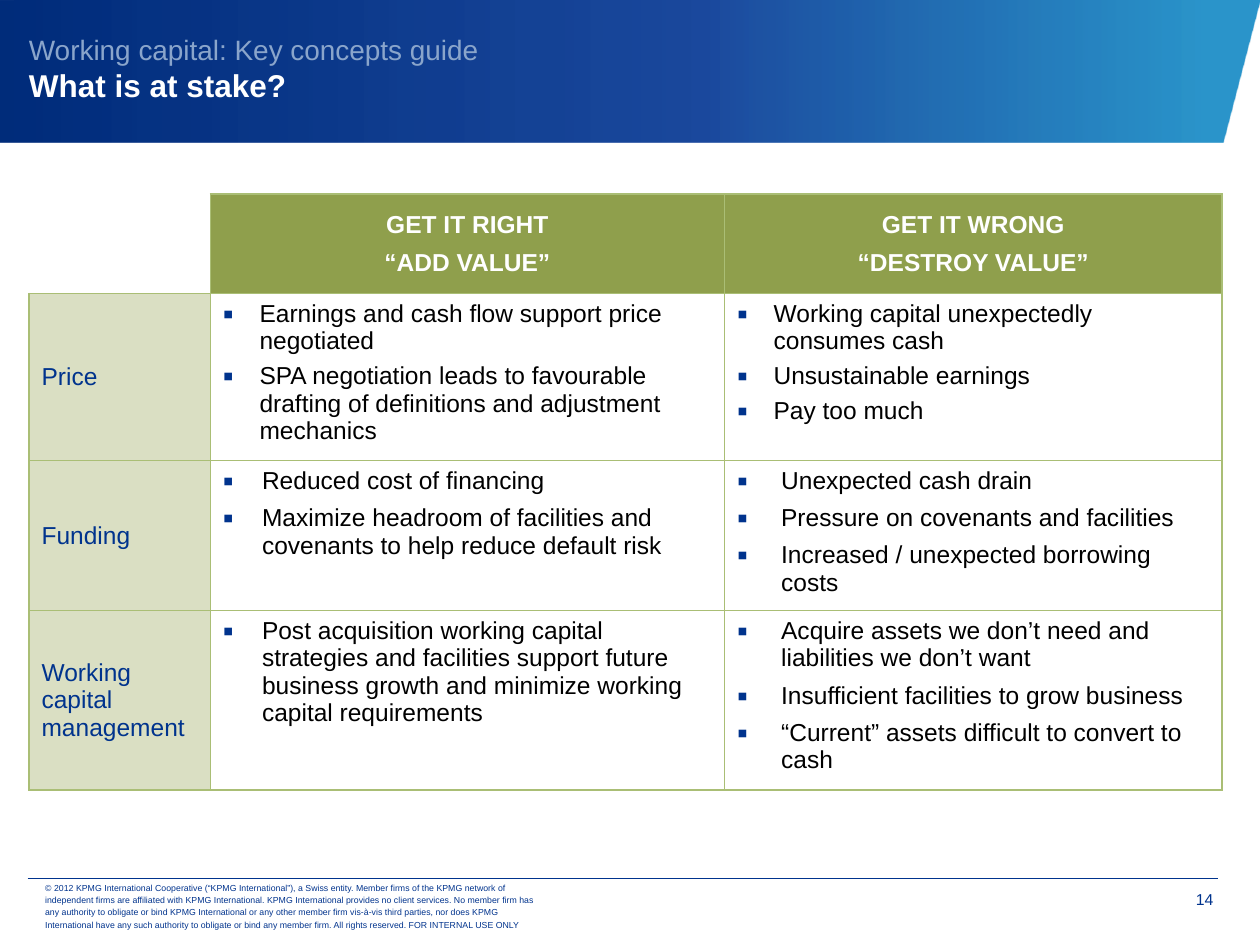
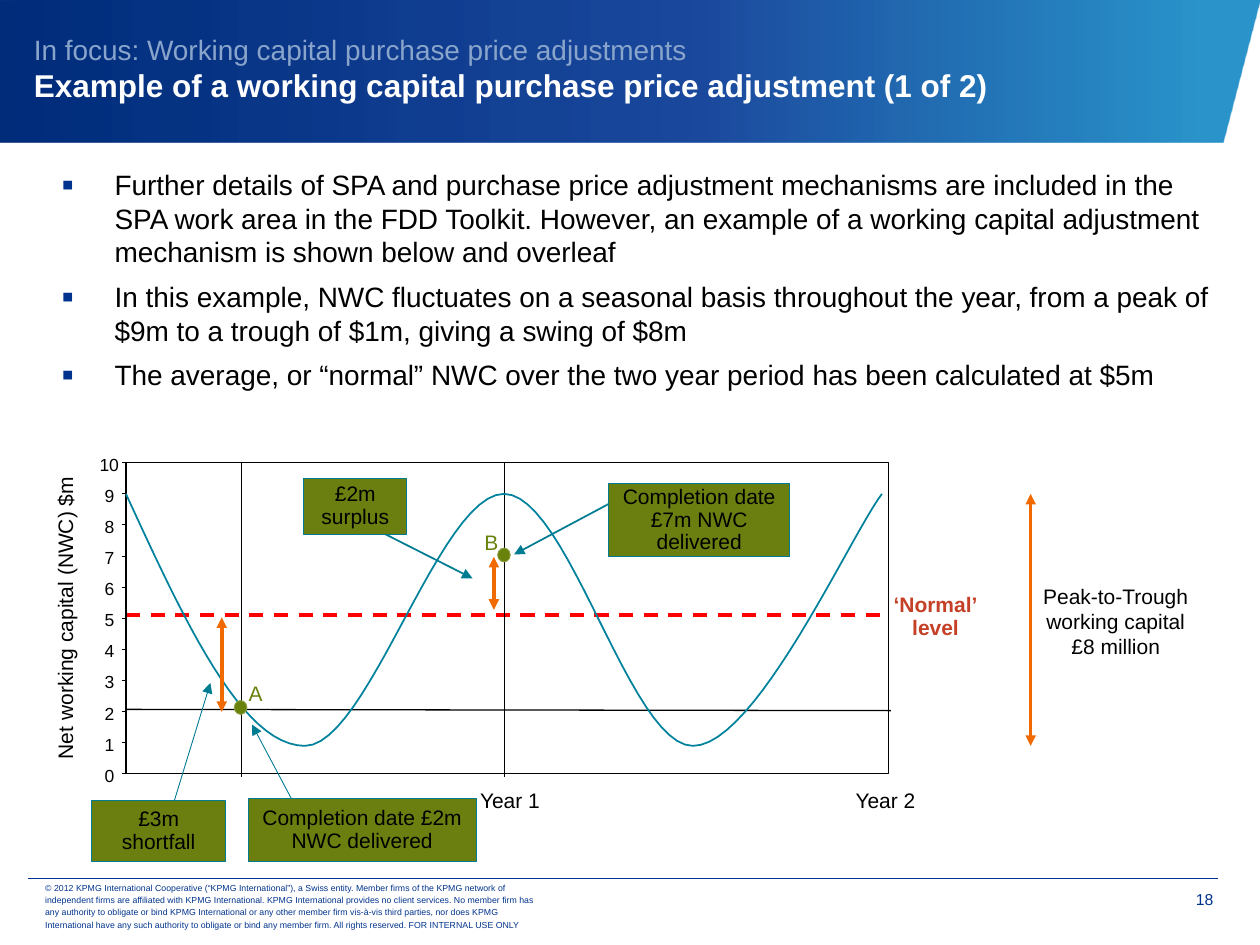
from lxml.etree import SubElement
from pptx import Presentation
from pptx.dml.color import RGBColor
from pptx.enum.dml import MSO_LINE
from pptx.enum.shapes import MSO_CONNECTOR, MSO_SHAPE
from pptx.enum.text import MSO_ANCHOR, PP_ALIGN
from pptx.oxml.ns import qn
from pptx.util import Inches, Pt

FONT = "Arial"
COLORS = {
    "navy": "00338D", "kicker": "8AA5CB", "white": "FFFFFF", "black": "000000",
    "header": "8F9F4C", "label": "DADFC3", "border": "AABE75",
    "teal": "007C92", "curve": "00829C", "orange": "F06A00", "red": "FF0000",
    "normal": "C44026", "callout": "6A7F10", "dot": "68820B", "dot_edge": "8CA042",
}
BAND_OUTLINE = [(-0.01, 1.13), (9.7, 1.13), (10, -0.01), (-0.01, 0)]
BAND_STOPS = [(4, "0080C0", 83), (44, "003492", 89), (100, "002C7A", 100)]
COPYRIGHT = (
    "© 2012 KPMG International Cooperative (“KPMG International”), a Swiss entity. "
    "Member firms of the KPMG network of independent firms are affiliated with KPMG "
    "International. KPMG International provides no client services. No member firm has any "
    "authority to obligate or bind KPMG International or any other member firm vis-à-vis "
    "third parties, nor does KPMG International have any such authority to obligate or bind "
    "any member firm. All rights reserved. FOR INTERNAL USE ONLY"
)

# Stakes table; rows grow to fit their text
TABLE_PLACE = (0.23, 1.54)
COLUMN_WIDTHS = [1.44, 4.08, 3.95]
ROW_HEIGHTS = [0.79, 0.52, 0.54, 1.41]
STAKES_HEADER = [["GET IT RIGHT", "“ADD VALUE”"], ["GET IT WRONG", "“DESTROY VALUE”"]]
# label, space before, (indent, bullets) for each column
STAKES = [
    ("Price", 4.2,
     (0.29, ["Earnings and cash flow support price negotiated",
             "SPA negotiation leads to favourable drafting of definitions and "
             "adjustment mechanics"]),
     (0.29, ["Working capital unexpectedly consumes cash", "Unsustainable earnings",
             "Pay too much"])),
    ("Funding", 5.6,
     (0.31, ["Reduced cost of financing",
             "Maximize headroom of facilities and covenants to help reduce default risk"]),
     (0.35, ["Unexpected cash drain", "Pressure on covenants and facilities",
             "Increased / unexpected borrowing costs"])),
    ("Working capital management", 5.6,
     (0.31, ["Post acquisition working capital strategies and facilities support future "
             "business growth and minimize working capital requirements"]),
     (0.35, ["Acquire assets we don’t need and liabilities we don’t want",
             "Insufficient facilities to grow business",
             "“Current” assets difficult to convert to cash"])),
]

# Price adjustment example
EXAMPLE_POINTS = [
    "Further details of SPA and purchase price adjustment mechanisms are included in the SPA "
    "work area in the FDD Toolkit. However, an example of a working capital adjustment "
    "mechanism is shown below and overleaf",
    "In this example, NWC fluctuates on a seasonal basis throughout the year, from a peak of "
    "$9m to a trough of $1m, giving a swing of $8m",
    "The average, or “normal” NWC over the two year period has been calculated at $5m",
]
PLOT = (1, 3.67, 6.05, 2.47)
AXIS_TOP = 10
CURVE_START = (1, 3.92)
CURVE_PARTS = [  # two control points and an end point
    ((1.46, 4.92), (1.92, 5.92), (2.42, 5.92)),
    ((2.92, 5.92), (3.49, 3.92), (4, 3.92)),
    ((4.51, 3.92), (5, 5.92), (5.5, 5.92)),
    ((6, 5.92), (6.75, 4.25), (7, 3.92)),
]
GUIDES = [  # start, end, colour, width, dashed
    ((1, 4.88), (7.06, 4.88), "red", 2, True),
    ((1, 5.63), (7.07, 5.64), "black", 0.75, False),
    ((1, 3.91), (1, 4.9), "black", 0.5, False),
    ((4, 3.67), (4, 6.17), "black", 0.5, False),
    ((1.92, 3.67), (1.92, 6.17), "black", 0.5, False),
]
SPANS = [((8.18, 3.92), (8.18, 5.92)), ((1.76, 4.9), (1.76, 5.65)), ((3.92, 4.42), (3.92, 4.84))]
POINTERS = [
    ((2.92, 4.17), (3.75, 4.59), 1), ((4.83, 4), (4.08, 4.4), 1),
    ((1.37, 6.4), (1.67, 5.42), 0.5), ((2.34, 6.39), (2, 5.75), 0.5),
]
CALLOUTS = [
    ("Completion date £7m NWC delivered", (4.83, 3.84, 1.44, 0.58)),
    ("£3m shortfall", (0.73, 6.35, 1.06, 0.49)),
    ("£2m surplus", (2.41, 3.8, 0.82, 0.44)),
    ("Completion date £2m NWC delivered", (1.97, 6.34, 1.81, 0.5)),
]
DOTS = [(1.86, 5.56, 0.1, 0.11), (3.95, 4.35, 0.1, 0.11)]
CHART_LABELS = [
    ("Year 1", (3.81, 6.25, 0.48, 0.2), dict(wrap=False)),
    ("Year 2", (6.79, 6.25, 0.53, 0.2), dict(wrap=False)),
    ("‘Normal’\nlevel", (7.05, 4.72, 0.75, 0.36),
     dict(color="normal", bold=True, align=PP_ALIGN.CENTER, spacing=0.9)),
    ("Peak-to-Trough\nworking capital\n£8 million", (8.23, 4.63, 1.25, 0.81),
     dict(align=PP_ALIGN.CENTER)),
    ("A", (1.81, 5.4, 0.44, 0.2), dict(color="dot", align=PP_ALIGN.CENTER)),
    ("B", (3.68, 4.2, 0.44, 0.2), dict(color="dot", align=PP_ALIGN.CENTER)),
]


def rgb(name):
    return RGBColor.from_string(COLORS[name])


def add_bullet(para, indent):
    properties = para._p.get_or_add_pPr()
    properties.set("marL", str(Inches(indent)))
    properties.set("indent", str(-Inches(indent)))
    color = SubElement(properties, qn("a:buClr"))
    SubElement(color, qn("a:srgbClr")).set("val", COLORS["navy"])
    SubElement(properties, qn("a:buSzPct")).set("val", "125000")
    SubElement(properties, qn("a:buFont")).set("typeface", FONT)
    SubElement(properties, qn("a:buChar")).set("char", "▪")


def write(frame, texts, size=12, color="black", bold=False, align=PP_ALIGN.LEFT,
          spacing=None, before=0, indent=None):
    """Fill a text frame with one paragraph per text; a newline breaks the line."""
    for number, text in enumerate([texts] if isinstance(texts, str) else texts):
        para = frame.add_paragraph() if number else frame.paragraphs[0]
        para.text = text
        para.alignment = align
        if spacing:
            para.line_spacing = spacing
        if number and before:
            para.space_before = Pt(before)
        if indent:
            add_bullet(para, indent)
        for line_break in para._p.findall(qn("a:br")):
            SubElement(line_break, qn("a:rPr")).set("sz", str(size * 100))
        for span in para.runs:
            span.font.name = FONT
            span.font.size = Pt(size)
            span.font.bold = bold
            span.font.color.rgb = rgb(color)


def set_frame(frame, insets, anchor, wrap=True):
    frame.word_wrap = wrap
    frame.vertical_anchor = anchor
    (frame.margin_left, frame.margin_top,
     frame.margin_right, frame.margin_bottom) = map(Inches, insets)


def add_text(page, texts, place, insets=(0, 0, 0, 0), anchor=MSO_ANCHOR.TOP, wrap=True, **style):
    box = page.shapes.add_textbox(*map(Inches, place))
    set_frame(box.text_frame, insets, anchor, wrap)
    write(box.text_frame, texts, **style)
    return box


def add_box(page, kind, place, fill, edge, width):
    box = page.shapes.add_shape(kind, *map(Inches, place))
    box.shadow.inherit = False
    if fill:
        box.fill.solid()
        box.fill.fore_color.rgb = rgb(fill)
    else:
        box.fill.background()
    box.line.color.rgb = rgb(edge)
    box.line.width = Pt(width)
    return box


def add_line(page, start, end, color, width, dashed=False, arrows=()):
    line = page.shapes.add_connector(MSO_CONNECTOR.STRAIGHT, *map(Inches, start + end))
    line.line.color.rgb = rgb(color)
    line.line.width = Pt(width)
    if dashed:
        line.line.dash_style = MSO_LINE.DASH
    for arrow in arrows:
        SubElement(line.line._get_or_add_ln(), qn(f"a:{arrow}")).set("type", "triangle")
    SubElement(line._element.spPr, qn("a:effectLst"))


def add_outline(page, points, close):
    corners = [(Inches(x), Inches(y)) for x, y in points]
    builder = page.shapes.build_freeform(*corners[0])
    builder.add_line_segments(corners[1:], close=close)
    outline = builder.convert_to_shape()
    outline.shadow.inherit = False
    return outline


def add_band(page):
    band = add_outline(page, BAND_OUTLINE, close=True)
    band.line.fill.background()
    band.fill.gradient()
    gradient = band._element.spPr.find(qn("a:gradFill"))
    for child in list(gradient):
        gradient.remove(child)
    stops = SubElement(gradient, qn("a:gsLst"))
    for position, color, opacity in BAND_STOPS:
        stop = SubElement(stops, qn("a:gs"), pos=str(position * 1000))
        paint = SubElement(stop, qn("a:srgbClr"), val=color)
        SubElement(paint, qn("a:alpha"), val=str(opacity * 1000))
    SubElement(gradient, qn("a:lin"), ang=str(180 * 60000), scaled="0")


def add_page(deck, number, kicker, title, left):
    """Add a slide with its band, two-line title and footer."""
    page = deck.slides.add_slide(deck.slide_layouts[6])
    add_band(page)
    add_text(page, str(number), (9.08, 6.98, 0.55, 0.31), insets=(0.08, 0.08, 0, 0),
             size=9, color="navy", align=PP_ALIGN.RIGHT)
    add_text(page, COPYRIGHT, (0.26, 7.01, 4.15, 0.35), insets=(0.1, 0.05, 0.1, 0.05),
             anchor=MSO_ANCHOR.MIDDLE, size=5, color="navy", spacing=Pt(7))
    add_line(page, (0.22, 6.97), (9.67, 6.97), "navy", 0.25)
    heading = add_text(page, f"{kicker}\n{title}", (left, 0.08, 9.54, 0.92),
                       anchor=MSO_ANCHOR.MIDDLE, size=16, color="kicker")
    font = heading.text_frame.paragraphs[0].runs[1].font
    font.size, font.bold, font.color.rgb = Pt(18), True, rgb("white")
    return page


def style_cell(cell, fill, sides="LRTB"):
    if fill:
        cell.fill.solid()
        cell.fill.fore_color.rgb = rgb(fill)
    else:
        cell.fill.background()
    properties = cell._tc.get_or_add_tcPr()
    for index, side in enumerate("LRTB"):
        border = SubElement(properties, qn(f"a:ln{side}"), w=str(Pt(1)))
        if side in sides:
            paint = SubElement(border, qn("a:solidFill"))
            SubElement(paint, qn("a:srgbClr"), val=COLORS["border"])
        else:
            SubElement(border, qn("a:noFill"))
        properties.insert(index, border)


def add_stakes_table(page):
    table = page.shapes.add_table(
        len(ROW_HEIGHTS), len(COLUMN_WIDTHS), *map(Inches, TABLE_PLACE),
        Inches(sum(COLUMN_WIDTHS)), Inches(sum(ROW_HEIGHTS))).table
    table.first_row = table.horz_banding = False
    for column, width in zip(table.columns, COLUMN_WIDTHS):
        column.width = Inches(width)
    for row, height in zip(table.rows, ROW_HEIGHTS):
        row.height = Inches(height)
    style_cell(table.cell(0, 0), None, sides="RB")
    for column, lines in enumerate(STAKES_HEADER, 1):
        cell = table.cell(0, column)
        style_cell(cell, "header")
        cell.vertical_anchor = MSO_ANCHOR.MIDDLE
        write(cell.text_frame, lines, size=14, color="white", bold=True,
              align=PP_ALIGN.CENTER, spacing=Pt(16), before=5.6)
    for row, (label, before, *outcomes) in enumerate(STAKES, 1):
        cell = table.cell(row, 0)
        style_cell(cell, "label")
        cell.vertical_anchor = MSO_ANCHOR.MIDDLE
        write(cell.text_frame, label, size=14, color="navy")
        for column, (indent, bullets) in enumerate(outcomes, 1):
            cell = table.cell(row, column)
            style_cell(cell, None)
            write(cell.text_frame, bullets, size=14, before=before, indent=indent)


def curve_points(steps=24):
    """Sample the Bézier parts of the seasonal curve."""
    points = [CURVE_START]
    for first, second, end in CURVE_PARTS:
        start = points[-1]
        for step in range(1, steps + 1):
            t = step / steps
            points.append(tuple(
                (1 - t) ** 3 * a + 3 * (1 - t) ** 2 * t * b + 3 * (1 - t) * t ** 2 * c + t ** 3 * d
                for a, b, c, d in zip(start, first, second, end)))
    return points


def add_seasonal_diagram(page):
    left, top, _, height = PLOT
    add_box(page, MSO_SHAPE.RECTANGLE, PLOT, None, "black", 0)
    for value in range(AXIS_TOP + 1):
        y = top + height * (1 - value / AXIS_TOP)
        add_line(page, (left - 0.03, y), (left, y), "black", 0.25)
        label_left = 0.79 if value == AXIS_TOP else 0.83
        add_text(page, str(value), (label_left, y - 0.07, 0.2, 0.17), wrap=False, size=10)
    axis_title = add_text(page, "Net working capital (NWC) $m", (-0.62, 4.79, 2.27, 0.2),
                          wrap=False)
    axis_title.rotation = 270
    for guide in GUIDES:
        add_line(page, *guide)
    curve = add_outline(page, curve_points(), close=False)
    curve.fill.background()
    curve.line.color.rgb = rgb("curve")
    curve.line.width = Pt(1)
    for start, end in SPANS:
        add_line(page, start, end, "orange", 2, arrows=("headEnd", "tailEnd"))
    for start, end, width in POINTERS:
        add_line(page, start, end, "teal", width, arrows=("tailEnd",))
    for place in DOTS:
        add_box(page, MSO_SHAPE.OVAL, place, "dot", "dot_edge", 0.5)
    for text, place in CALLOUTS:
        box = add_box(page, MSO_SHAPE.RECTANGLE, place, "callout", "teal", 0.5)
        set_frame(box.text_frame, [0.06] * 4, MSO_ANCHOR.MIDDLE)
        write(box.text_frame, text, align=PP_ALIGN.CENTER, spacing=0.9)
    for text, place, style in CHART_LABELS:
        add_text(page, text, place, **style)


def main():
    deck = Presentation()
    deck.slide_width, deck.slide_height = Inches(10), Inches(7.5)
    stakes = add_page(deck, 14, "Working capital: Key concepts guide", "What is at stake?", 0.23)
    add_stakes_table(stakes)
    example = add_page(deck, 18, "In focus: Working capital purchase price adjustments",
                       "Example of a working capital purchase price adjustment (1 of 2)", 0.27)
    add_text(example, EXAMPLE_POINTS, (0.49, 1.33, 9.14, 2.09), size=16, before=6.4, indent=0.42)
    add_seasonal_diagram(example)
    deck.save("out.pptx")


if __name__ == "__main__":
    main()
